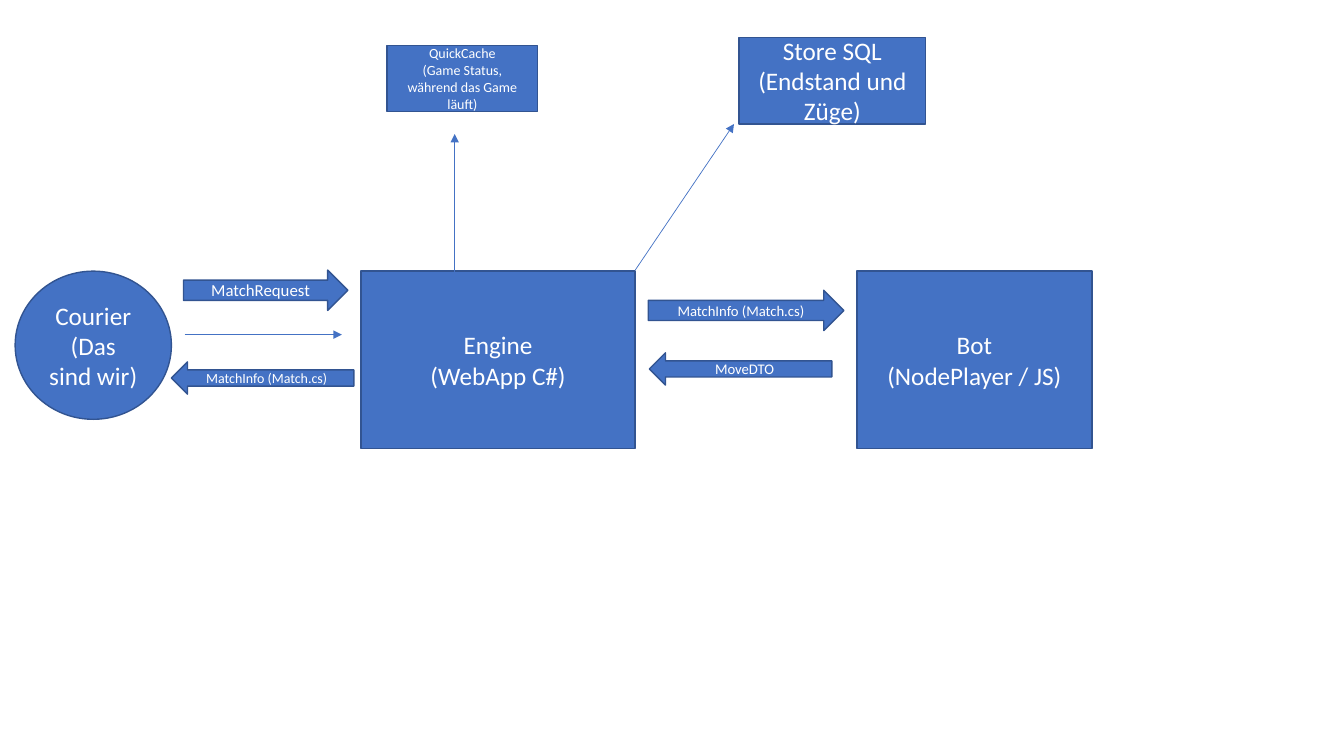
from pptx import Presentation
from pptx.dml.color import RGBColor
from pptx.enum.shapes import MSO_CONNECTOR, MSO_SHAPE
from pptx.enum.text import MSO_ANCHOR, PP_ALIGN
from pptx.oxml.ns import qn
from pptx.util import Inches, Pt
from lxml.etree import SubElement

BLUE, EDGE, WHITE = "4472C4", "325491", "FFFFFF"


def paint(target, color):
    """Set a solid hex colour on a fill."""
    target.solid()
    target.fore_color.rgb = RGBColor.from_string(color)


def add_node(slide, kind, box, size, paras):
    """Add a blue shape with centred white text; a newline breaks the line."""
    node = slide.shapes.add_shape(kind, *[Inches(n) for n in box])
    node.shadow.inherit = False
    paint(node.fill, BLUE)
    paint(node.line.fill, EDGE)
    node.line.width = Pt(1)
    frame = node.text_frame
    frame.word_wrap = True
    frame.vertical_anchor = MSO_ANCHOR.MIDDLE
    for i, text in enumerate(paras):
        para = frame.add_paragraph() if i else frame.paragraphs[0]
        para.alignment = PP_ALIGN.CENTER
        for j, part in enumerate(text.split("\n")):
            if j:
                para.add_line_break()
            run = para.add_run()
            run.text = part
            run.font.name = "Calibri"
            run.font.size = Pt(size)
            paint(run.font.fill, WHITE)


deck = Presentation()
deck.slide_width, deck.slide_height = Inches(13.33), Inches(7.5)
slide = deck.slides.add_slide(deck.slide_layouts[6])
paint(slide.background.fill, WHITE)

# Systems and stores
top, high = 2.69, 1.76
rect = MSO_SHAPE.RECTANGLE
nodes = [
    (rect, (3.58, top, 2.72, high), 18, ["Engine", "(WebApp C#)"]),
    (rect, (8.5, top, 2.33, high), 18, ["Bot\n(NodePlayer / JS)"]),
    (MSO_SHAPE.OVAL, (0.15, top, 1.55, 1.47), 18,
     ["Courier", "(Das sind wir)"]),
    (rect, (3.84, 0.45, 1.49, 0.66), 10,
     ["QuickCache", "(Game Status, während das Game läuft)"]),
    (rect, (7.33, 0.37, 1.85, 0.86), 18,
     ["Store SQL (Endstand und Züge)"]),
]

# Messages
right, left = MSO_SHAPE.RIGHT_ARROW, MSO_SHAPE.LEFT_ARROW
nodes += [
    (right, (1.82, 2.68, 1.63, 0.4), 12, ["MatchRequest"]),
    (right, (6.43, 2.88, 1.94, 0.4), 10.5, ["MatchInfo (Match.cs)"]),
    (left, (6.44, 3.5, 1.81, 0.32), 10.5, ["MoveDTO"]),
    (left, (1.7, 3.59, 1.81, 0.32), 10, ["MatchInfo (Match.cs)"]),
]
for node in nodes:
    add_node(slide, *node)

# Thin arrows: request to engine, engine to cache, engine to database
for ends in [(1.83, 3.32, 3.39, 3.32), (4.51, 2.8, 4.51, 1.33),
             (6.3, 2.68, 7.28, 1.23)]:
    link = slide.shapes.add_connector(
        MSO_CONNECTOR.STRAIGHT, *[Inches(n) for n in ends])
    paint(link.line.fill, BLUE)
    link.line.width = Pt(0.5)
    SubElement(link.line._get_or_add_ln(), qn("a:tailEnd"), type="triangle")
    SubElement(link._element.spPr, qn("a:effectLst"))

deck.save("out.pptx")
